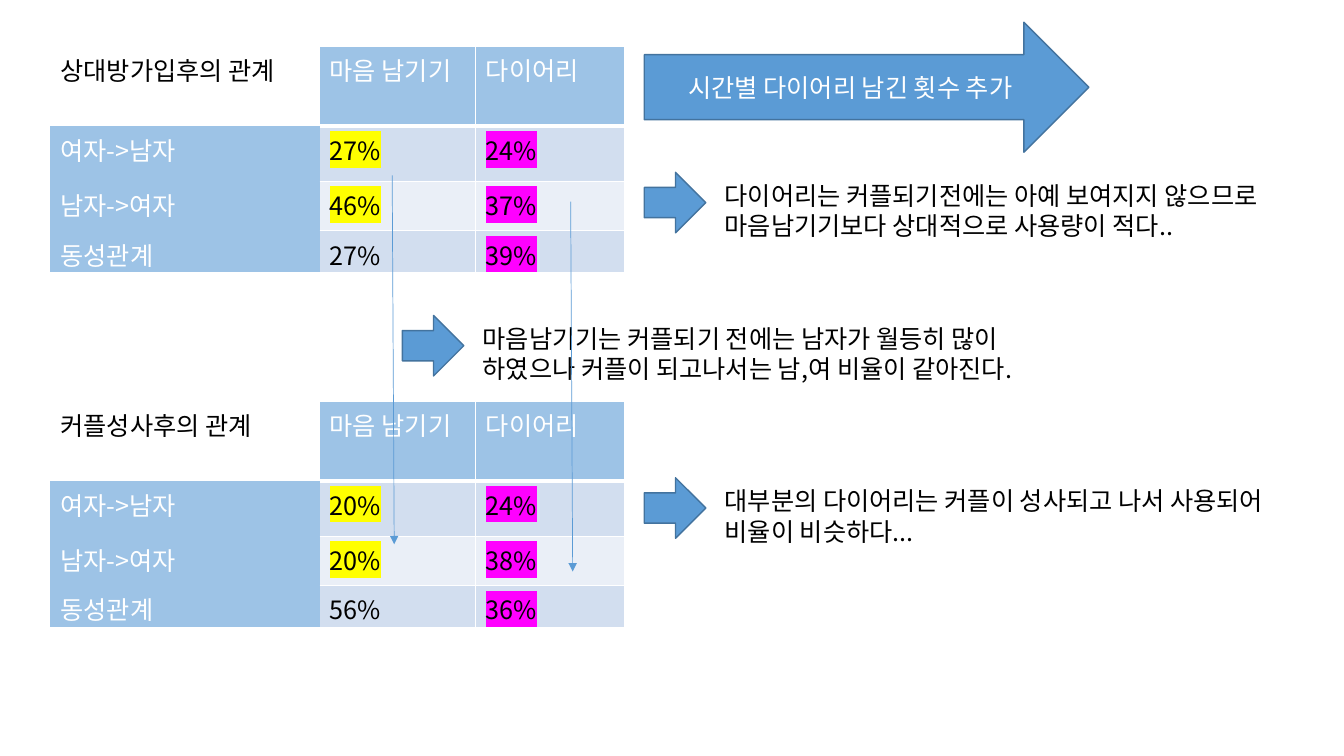
from dataclasses import dataclass

from lxml.etree import SubElement
from pptx import Presentation
from pptx.dml.color import RGBColor
from pptx.enum.shapes import MSO_CONNECTOR as Connector, MSO_SHAPE as Preset
from pptx.enum.text import MSO_ANCHOR as Anchor, PP_ALIGN as Align
from pptx.oxml.ns import qn
from pptx.util import Inches, Pt


@dataclass(frozen=True)
class Theme:
    font: str = "Noto Sans CJK KR"
    size: int = 18
    dark: str = "000000"
    light: str = "FFFFFF"
    header: str = "9DC3E6"
    bands: tuple = ("D2DEEF", "EAEFF7")
    accent: str = "5B9BD5"
    outline: str = "43739E"
    yellow: str = "FFFF00"
    magenta: str = "FF00FF"


THEME = Theme()
COLUMNS = (2.67, 1.55, 1.48)
ROWS = (0.79, 0.55, 0.49, 0.4)
TABLE_LEFT = 0.5
ARROW_SIZE = (0.61, 0.6)
NOTE_OFFSET = (0.7, 0.03)
NOTE_SIZE = (6.03, 0.71)
HEADINGS = ("마음 남기기", "다이어리")
RELATIONS = ("여자->남자", "남자->여자", "동성관계")

RELATION_TABLES = (
    (0.46, "상대방가입후의 관계", (("27%", "24%"), ("46%", "37%"), ("27%", "39%"))),
    (3.98, "커플성사후의 관계", (("20%", "24%"), ("20%", "38%"), ("56%", "36%"))),
)
NOTES = (
    (3.99, 3.13, "마음남기기는 커플되기 전에는 남자가 월등히 많이 하였으나 커플이 되고나서는 남,여 비율이 같아진다."),
    (6.39, 1.71, "다이어리는 커플되기전에는 아예 보여지지 않으므로 마음남기기보다 상대적으로 사용량이 적다.."),
    (6.39, 4.74, "대부분의 다이어리는 커플이 성사되고 나서 사용되어 비율이 비슷하다..."),
)
TREND_LINES = ((3.89, 1.74, 3.91, 5.4), (5.66, 2, 5.68, 5.67))
BANNER = (6.39, 0.22, 4.41, 1.29)


def inches(*lengths):
    return [Inches(length) for length in lengths]


def rgb(color):
    return RGBColor.from_string(color)


def write_text(frame, text, color, highlight=None):
    span = frame.paragraphs[0].add_run()
    span.text = text
    span.font.color.rgb = rgb(color)
    for name, value in {"size": Pt(THEME.size), "name": THEME.font}.items():
        setattr(span.font, name, value)
    props = span.font._element
    SubElement(props, qn("a:ea"), typeface=THEME.font)
    if highlight:
        mark = SubElement(props, qn("a:highlight"))
        SubElement(mark, qn("a:srgbClr"), val=highlight)
        props.find(qn("a:solidFill")).addnext(mark)


def set_borders(cell, widths):
    """Draw white borders of the given point widths; a zero width hides the side."""
    props = cell._tc.get_or_add_tcPr()
    for side in "LRTB":
        width = widths.get(side, 0)
        line = SubElement(props, qn(f"a:ln{side}"), w=str(Pt(width)))
        if width:
            fill = SubElement(line, qn("a:solidFill"))
            SubElement(fill, qn("a:srgbClr"), val=THEME.light)
        else:
            SubElement(line, qn("a:noFill"))


def cell_look(row, column):
    """Return the fill, text colour and highlight of a cell."""
    if row == 0 and column == 0:
        return THEME.light, THEME.dark, None
    if row == 0 or column == 0:
        return THEME.header, THEME.light, None
    last_row = row == len(ROWS) - 1
    first_mark = None if last_row else THEME.yellow
    highlight = first_mark if column == 1 else THEME.magenta
    return THEME.bands[(row - 1) % 2], THEME.dark, highlight


def add_relation_table(page, top, title, shares):
    box = inches(TABLE_LEFT, top, sum(COLUMNS), sum(ROWS))
    table = page.shapes.add_table(len(ROWS), len(COLUMNS), *box).table
    table.first_row = table.horz_banding = False
    for column, width in zip(table.columns, COLUMNS):
        column.width = Inches(width)
    for row, height in zip(table.rows, ROWS):
        row.height = Inches(height)

    values = [(title, *HEADINGS)]
    values += [(name, *pair) for name, pair in zip(RELATIONS, shares)]
    for row, texts in enumerate(values):
        for column, text in enumerate(texts):
            cell = table.cell(row, column)
            fill, color, highlight = cell_look(row, column)
            widths = {"T": 1, "R": 1, "B": 1 if row else 3}
            if column == 2:
                widths["L"] = 1
            set_borders(cell, widths if column else {})
            cell.fill.solid()
            cell.fill.fore_color.rgb = rgb(fill)
            write_text(cell.text_frame, text, color, highlight)
            if row == len(ROWS) - 1:
                cell.margin_bottom = 0


def add_block_arrow(page, left, top, width, height):
    arrow = page.shapes.add_shape(Preset.RIGHT_ARROW, *inches(left, top, width, height))
    arrow.shadow.inherit = False
    arrow.fill.solid()
    arrow.fill.fore_color.rgb = rgb(THEME.accent)
    arrow.line.color.rgb = rgb(THEME.outline)
    arrow.line.width = Pt(1)
    return arrow


def add_note(page, left, top, text):
    add_block_arrow(page, left, top, *ARROW_SIZE)
    right, down = NOTE_OFFSET
    box = page.shapes.add_textbox(*inches(left + right, top + down, *NOTE_SIZE))
    box.text_frame.word_wrap = True
    write_text(box.text_frame, text, THEME.dark)


def add_trend_line(page, *ends):
    line = page.shapes.add_connector(Connector.STRAIGHT, *inches(*ends))
    line.line.color.rgb = rgb(THEME.accent)
    line.line.width = Pt(0.5)
    SubElement(line.line._get_or_add_ln(), qn("a:tailEnd"), type="triangle")
    SubElement(line._element.spPr, qn("a:effectLst"))


def add_banner(page, text):
    frame = add_block_arrow(page, *BANNER).text_frame
    frame.word_wrap = True
    frame.vertical_anchor = Anchor.MIDDLE
    frame.paragraphs[0].alignment = Align.CENTER
    write_text(frame, text, THEME.light)


def main():
    deck = Presentation()
    deck.slide_width, deck.slide_height = inches(13.33, 7.5)
    page = deck.slides.add_slide(deck.slide_layouts.get_by_name("Blank"))
    for top, title, shares in RELATION_TABLES:
        add_relation_table(page, top, title, shares)
    for note in NOTES:
        add_note(page, *note)
    for ends in TREND_LINES:
        add_trend_line(page, *ends)
    add_banner(page, "시간별 다이어리 남긴 횟수 추가")
    deck.save("out.pptx")


if __name__ == "__main__":
    main()
